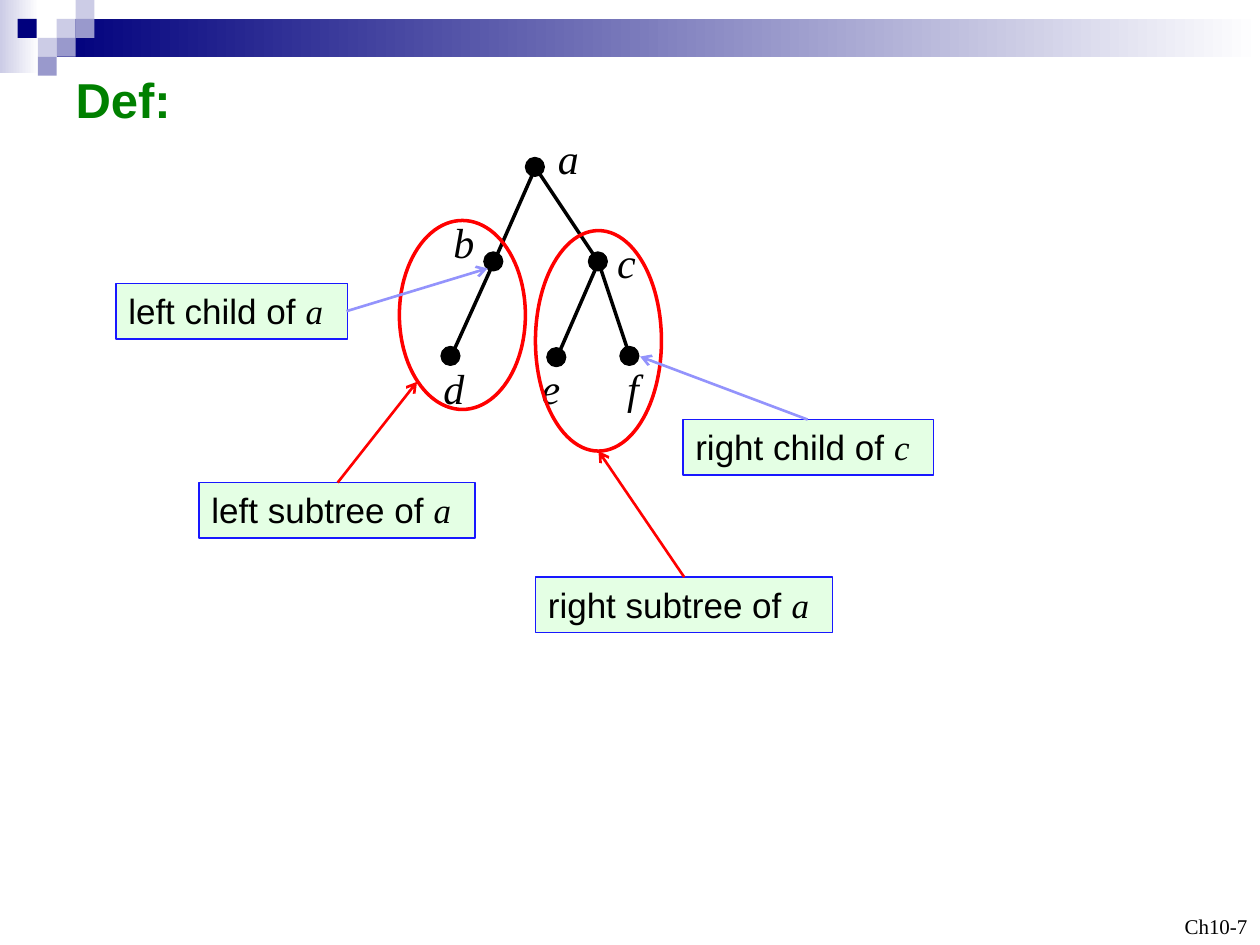
from lxml.etree import SubElement
from pptx import Presentation
from pptx.dml.color import RGBColor
from pptx.enum.shapes import MSO_CONNECTOR, MSO_SHAPE
from pptx.enum.text import MSO_ANCHOR, MSO_AUTO_SIZE, PP_ALIGN
from pptx.oxml.ns import qn
from pptx.util import Pt

PX = 9144
SANS, SERIF = "Arial", "Times New Roman"
NAVY, LILAC, MIST, WHITE = "00007D", "9999CC", "CCCCE6", "FFFFFF"
BLACK, RED, GREEN, PERIWINKLE = "000000", "FF0000", "008000", "9393FC"
LABEL_FILL, LABEL_LINE = "CCFFCC", "1818FF"

NODES = {"a": (425, 133), "b": (392, 208), "c": (475, 208),
         "d": (358, 283), "e": (442, 284), "f": (500, 283)}
EDGES = ["ab", "ac", "bd", "ce", "cf"]
LETTERS = {"a": (433, 100, 37), "b": (350, 167, 37), "c": (480, 183, 35),
           "d": (342, 283, 37), "e": (420, 283, 35), "f": (488, 283, 30)}
SUBTREES = [(317, 175, 100, 150), (425, 183, 100, 175)]
LABELS = [
    ("left child of ", "a", (92, 225, 184, 44)),
    ("right child of ", "c", (542, 333, 199, 44)),
    ("left subtree of ", "a", (158, 383, 219, 44)),
    ("right subtree of ", "a", (425, 458, 236, 44)),
]
POINTERS = [
    ((275, 247), (387, 213), PERIWINKLE),
    ((641, 333), (508, 283), PERIWINKLE),
    ((268, 383), (331, 303), RED),
    ((543, 458), (475, 358), RED),
]
SQUARES = [(45, 15, MIST), (60, 0, MIST), (60, 15, LILAC), (30, 30, MIST),
           (14, 15, NAVY), (45, 30, LILAC), (30, 45, LILAC)]


def rgb(value):
    """Turn a hex string into a colour."""
    return RGBColor.from_string(value)


def emu(lengths):
    """Scale px lengths to EMU."""
    return [length * PX for length in lengths]


def add_text(frame, text, size, font, color=BLACK, bold=False, italic=False,
             align=PP_ALIGN.LEFT, anchor=MSO_ANCHOR.TOP):
    """Append a formatted run to the first paragraph of a frame."""
    frame.word_wrap = True
    frame.auto_size = MSO_AUTO_SIZE.NONE
    frame.vertical_anchor = anchor
    paragraph = frame.paragraphs[0]
    paragraph.alignment = align
    run = paragraph.add_run()
    run.text = text
    run.font.size = Pt(size)
    run.font.name = font
    run.font.bold = bold
    run.font.italic = italic
    run.font.color.rgb = rgb(color)


def add_figure(slide, preset, box, fill=None, line=None, width=0.75):
    """Add a preset shape with an optional fill and outline."""
    figure = slide.shapes.add_shape(preset, *emu(box))
    figure.shadow.inherit = False
    if fill:
        figure.fill.solid()
        figure.fill.fore_color.rgb = rgb(fill)
    else:
        figure.fill.background()
    if line:
        figure.line.color.rgb = rgb(line)
        figure.line.width = Pt(width)
    else:
        figure.line.fill.background()
    return figure


def add_fade(slide, box, start):
    """Add a rectangle that fades to white from left to right."""
    fade = add_figure(slide, MSO_SHAPE.RECTANGLE, box)
    fade.fill.gradient()
    fade.fill.gradient_angle = 0
    for stop, color in zip(fade.fill.gradient_stops, (start, WHITE)):
        stop.color.rgb = rgb(color)


def add_line(slide, start, end, color, width, arrow=False):
    """Add a straight line, with an arrowhead at its end if asked."""
    line = slide.shapes.add_connector(MSO_CONNECTOR.STRAIGHT, *emu(start + end))
    line.line.color.rgb = rgb(color)
    line.line.width = Pt(width)
    properties = line._element.spPr
    if arrow:
        SubElement(properties.find(qn("a:ln")), qn("a:tailEnd"), type="arrow")
    SubElement(properties, qn("a:effectLst"))


def add_label(slide, phrase, vertex, box):
    """Add a translucent box naming a part of the tree."""
    label = add_figure(slide, MSO_SHAPE.RECTANGLE, box, LABEL_FILL, LABEL_LINE)
    tint = label._element.spPr.find(qn("a:solidFill"))[0]
    SubElement(tint, qn("a:alpha"), val="52000")
    add_text(label.text_frame, phrase, 20, SANS)
    add_text(label.text_frame, vertex, 20, SERIF, italic=True)


def add_caption(slide, text, box, **text_format):
    """Add a text box in the serif font."""
    caption = slide.shapes.add_textbox(*emu(box))
    add_text(caption.text_frame, text, font=SERIF, **text_format)


def add_title(slide, text, box):
    """Place and fill the title placeholder."""
    title = slide.shapes.title
    title.left, title.top, title.width, title.height = emu(box)
    add_text(title.text_frame, text, 28, SANS, GREEN, bold=True)


def add_banner(slide):
    """Draw the fading bar and its mosaic of squares."""
    add_fade(slide, (0, 0, 31, 58), MIST)
    add_fade(slide, (45, 15, 955, 30), NAVY)
    for left, top, color in SQUARES:
        add_figure(slide, MSO_SHAPE.RECTANGLE, (left, top, 15, 15), color)


def add_tree(slide):
    """Draw the edges, nodes and letters of the tree."""
    for parent, child in EDGES:
        add_line(slide, NODES[parent], NODES[child], BLACK, 2)
    for x, y in NODES.values():
        add_figure(slide, MSO_SHAPE.OVAL, (x - 8, y - 8, 15, 15), BLACK, BLACK)
    for letter, (left, top, width) in LETTERS.items():
        add_caption(slide, letter, (left, top, width, 51), size=24, italic=True)


def main():
    """Build the slide and save it."""
    deck = Presentation()
    deck.slide_width, deck.slide_height = emu((1000, 750))
    slide = deck.slides.add_slide(deck.slide_layouts[5])
    add_banner(slide)
    add_title(slide, "Def:", (50, 50, 108, 57))
    add_tree(slide)
    for subtree in SUBTREES:
        add_figure(slide, MSO_SHAPE.OVAL, subtree, line=RED, width=2)
    for phrase, vertex, box in LABELS:
        add_label(slide, phrase, vertex, box)
    for start, end, color in POINTERS:
        add_line(slide, start, end, color, 1.5, arrow=True)
    add_caption(slide, "Ch10-7", (767, 700, 233, 50), size=12,
                align=PP_ALIGN.RIGHT, anchor=MSO_ANCHOR.BOTTOM)
    deck.save("out.pptx")


if __name__ == "__main__":
    main()
